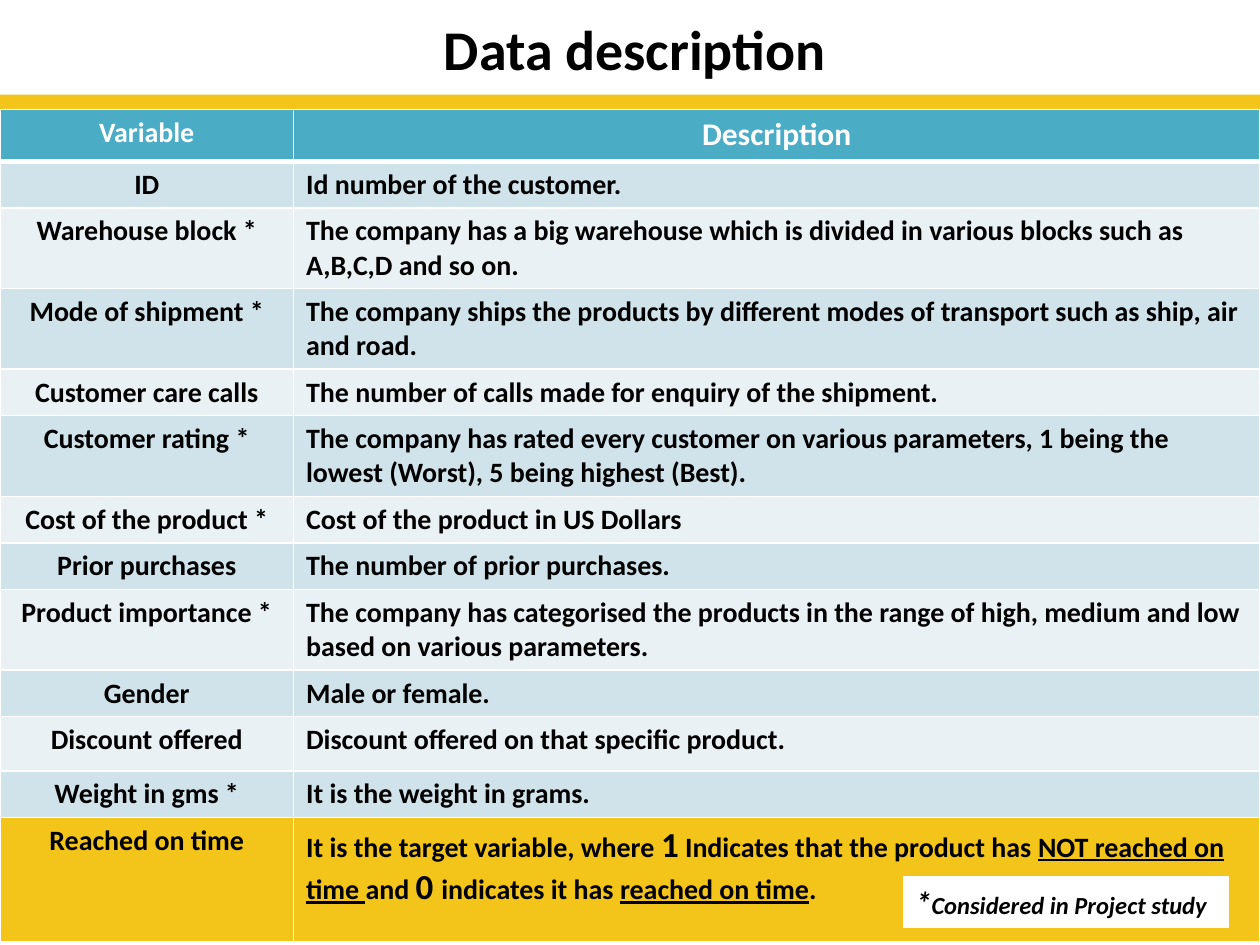
from typing import NamedTuple

from lxml.etree import SubElement
from pptx import Presentation
from pptx.dml.color import RGBColor
from pptx.enum.shapes import MSO_SHAPE as Shape
from pptx.enum.text import MSO_ANCHOR as Anchor, PP_ALIGN as Align
from pptx.oxml.ns import qn
from pptx.util import Inches, Pt

FONT = "Calibri"
COLORS = {
    "yellow": "F3C419",
    "header": "4BACC6",
    "band_dark": "D0E3EA",
    "band_light": "E9F1F5",
    "white": "FFFFFF",
    "black": "000000",
}


class Span(NamedTuple):
    text: str
    size: float = 16
    underline: bool = False


class Row(NamedTuple):
    variable: str
    description: list[Span]
    height: float = 0.37


class Box(NamedTuple):
    left: float
    top: float
    width: float
    height: float

    def lengths(self) -> list[int]:
        return [Inches(value) for value in self]


TALL = 0.64
HEADER = Row("Variable", [Span("Description", 18)], 0.41)
VARIABLES = [
    Row("ID", [Span("Id number of the customer.")]),
    Row("Warehouse block *", [Span(
        "The company has a big warehouse which is divided in various blocks "
        "such as A,B,C,D and so on.")], TALL),
    Row("Mode of shipment *", [Span(
        "The company ships the products by different modes of transport "
        "such as ship, air and road.")], TALL),
    Row("Customer care calls", [Span(
        "The number of calls made for enquiry of the shipment.")]),
    Row("Customer rating *", [Span(
        "The company has rated every customer on various parameters, 1 being "
        "the lowest (Worst), 5 being highest (Best).")], TALL),
    Row("Cost of the product *", [Span("Cost of the product in US Dollars")]),
    Row("Prior purchases", [Span("The number of prior purchases.")]),
    Row("Product importance *", [Span(
        "The company has categorised the products in the range of high, "
        "medium and low based on various parameters.")], TALL),
    Row("Gender", [Span("Male or female.")]),
    Row("Discount offered", [Span("Discount offered on that specific product.")], 0.43),
    Row("Weight in gms *", [Span("It is the weight in grams.")]),
]
TARGET = Row("Reached on time", [
    Span("It is the target variable, where "),
    Span("1", 20),
    Span(" Indicates that the product has "),
    Span("NOT reached on time ", underline=True),
    Span("and "),
    Span("0 ", 20),
    Span("indicates it has "),
    Span("reached on time", underline=True),
    Span("."),
], 0.99)
COLUMN_WIDTHS = [2.33, 7.67]
YELLOW_BARS = [Box(0, 0.75, 10, 0.12), Box(0, 7.17, 10, 0.04)]


def rgb(color: str) -> RGBColor:
    return RGBColor.from_string(COLORS[color])


def write(frame, spans: list[Span], align: Align, color: str = "black", italic: bool = False) -> None:
    paragraph = frame.paragraphs[0]
    paragraph.alignment = align
    font = paragraph.font
    font.name, font.bold, font.italic = FONT, True, italic
    font.color.rgb = rgb(color)
    for span in spans:
        run = paragraph.add_run()
        run.text = span.text
        run.font.size = Pt(span.size)
        if span.underline:
            run.font.underline = True


def add_rectangle(slide, box: Box, color: str):
    rectangle = slide.shapes.add_shape(Shape.RECTANGLE, *box.lengths())
    rectangle.shadow.inherit = False
    rectangle.fill.solid()
    rectangle.fill.fore_color.rgb = rgb(color)
    rectangle.line.fill.background()
    return rectangle


def add_title(slide, text: str) -> None:
    title = slide.shapes.add_textbox(*Box(-0.25, 0.01, 10.58, 0.75).lengths())
    title.text_frame.word_wrap = True
    title.text_frame.vertical_anchor = Anchor.MIDDLE
    write(title.text_frame, [Span(text, 32)], Align.CENTER)


def style_cell(cell, color: str, top: float, bottom: float) -> None:
    """Give the cell white borders, with top and bottom widths in points, and a fill."""
    properties = cell._tc.get_or_add_tcPr()
    for tag, width in (("lnL", 1), ("lnR", 1), ("lnT", top), ("lnB", bottom)):
        border = SubElement(properties, qn(f"a:{tag}"), w=str(Pt(width)))
        fill = SubElement(border, qn("a:solidFill"))
        SubElement(fill, qn("a:srgbClr"), val=COLORS["white"])
    cell.fill.solid()
    cell.fill.fore_color.rgb = rgb(color)


def row_color(index: int, row: Row) -> str:
    if row is HEADER:
        return "header"
    if row is TARGET:
        return "yellow"
    return "band_dark" if index % 2 else "band_light"


def add_variable_table(slide, rows: list[Row]) -> None:
    box = Box(0, 0.87, sum(COLUMN_WIDTHS), sum(row.height for row in rows))
    table = slide.shapes.add_table(len(rows), len(COLUMN_WIDTHS), *box.lengths()).table
    for column, width in zip(table.columns, COLUMN_WIDTHS):
        column.width = Inches(width)
    for index, row in enumerate(rows):
        table.rows[index].height = Inches(row.height)
        is_header = row is HEADER
        text_color = "white" if is_header else "black"
        variable, description = table.rows[index].cells
        for cell in (variable, description):
            style_cell(cell, row_color(index, row),
                       top=3 if index == 1 else 1, bottom=3 if is_header else 1)
        write(variable.text_frame, [Span(row.variable)], Align.CENTER, text_color)
        write(description.text_frame, row.description,
              Align.CENTER if is_header else Align.LEFT, text_color)


def add_footnote(slide) -> None:
    footnote = add_rectangle(slide, Box(7.17, 6.96, 2.58, 0.4), "white")
    footnote.line.color.rgb = rgb("white")
    footnote.line.width = Pt(0.75)
    footnote.text_frame.word_wrap = True
    footnote.text_frame.vertical_anchor = Anchor.TOP
    write(footnote.text_frame, [Span("*", 18), Span("Considered in Project study", 14)],
          Align.LEFT, italic=True)


def main() -> None:
    deck = Presentation()
    deck.slide_width, deck.slide_height = Inches(10), Inches(7.5)
    slide = deck.slides.add_slide(deck.slide_layouts[6])
    for bar in YELLOW_BARS:
        add_rectangle(slide, bar, "yellow")
    add_title(slide, "Data description")
    add_variable_table(slide, [HEADER, *VARIABLES, TARGET])
    add_footnote(slide)
    deck.save("out.pptx")


if __name__ == "__main__":
    main()
